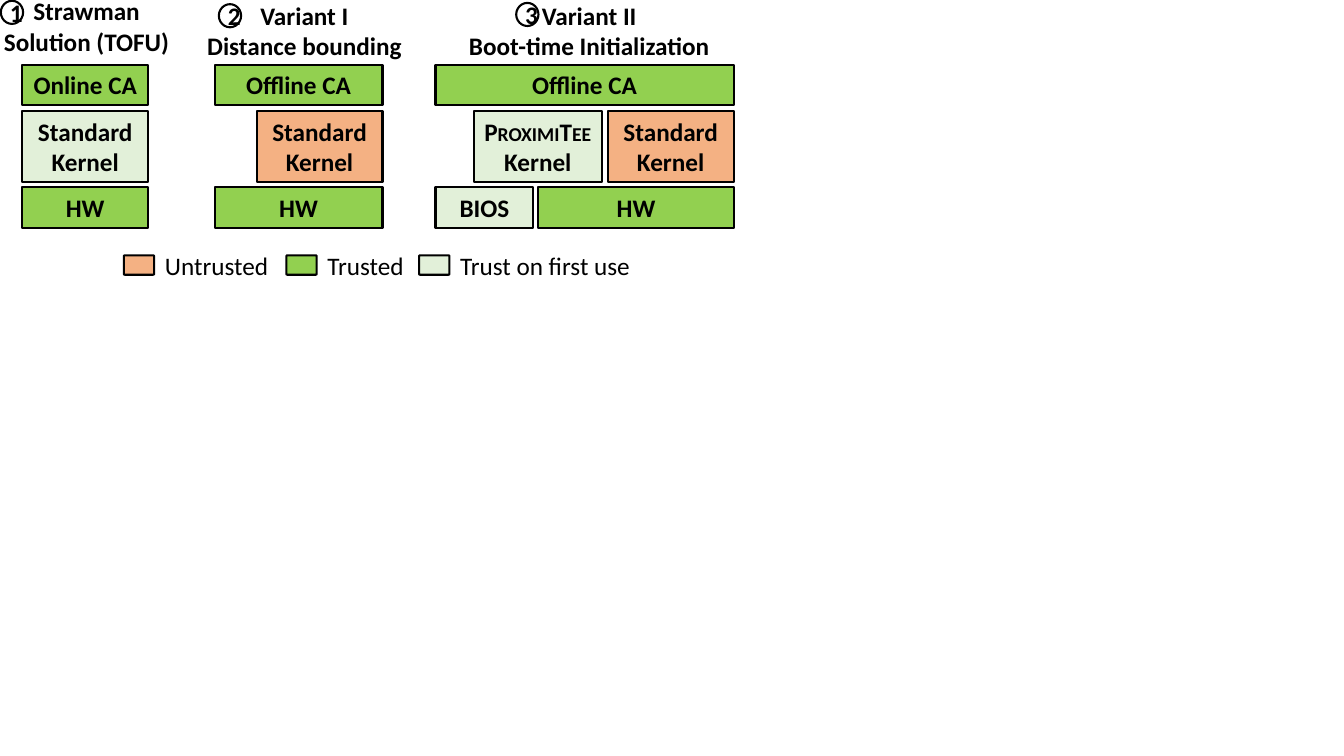
from dataclasses import dataclass

from pptx import Presentation
from pptx.dml.color import RGBColor
from pptx.enum.shapes import MSO_SHAPE
from pptx.enum.text import MSO_ANCHOR, MSO_AUTO_SIZE, PP_ALIGN
from pptx.shapes.base import BaseShape
from pptx.util import Inches, Pt

RECT, OVAL, ROUND = MSO_SHAPE.RECTANGLE, MSO_SHAPE.OVAL, MSO_SHAPE.ROUNDED_RECTANGLE
TOP, MIDDLE = MSO_ANCHOR.TOP, MSO_ANCHOR.MIDDLE
LEFT, CENTER = PP_ALIGN.LEFT, PP_ALIGN.CENTER
GROW, FIXED = MSO_AUTO_SIZE.SHAPE_TO_FIT_TEXT, MSO_AUTO_SIZE.NONE

# The slide is a grid of 320 columns by 180 rows
COLS, ROWS = 320, 180


@dataclass(frozen=True)
class Theme:
    font: str = "Calibri"
    size: int = 18
    small: int = 14
    line: float = 1.5
    ink: str = "000000"
    paper: str = "FFFFFF"
    safe: str = "92D050"
    first: str = "E2F0D9"
    risk: str = "F4B183"


@dataclass(frozen=True)
class Box:
    col: float
    row: float
    wide: float
    high: float


@dataclass(frozen=True)
class Band:
    row: float
    high: float


@dataclass(frozen=True)
class Block:
    text: str
    tone: str
    band: Band
    shift: float  # columns from the left edge of the stack
    wide: float


@dataclass(frozen=True)
class Stack:
    col: float
    title: str
    head: Box
    badge: tuple[float, float]
    blocks: list[Block]


@dataclass(frozen=True)
class Key:
    text: str
    tone: str
    col: float
    wide: float


THEME = Theme()
CA, KERNEL, BASE = Band(15.4, 9.7), Band(26.4, 17), Band(44.6, 9.7)

# A bar in a text switches between the normal and the small size
STACKS = [
    Stack(5.3, "Strawman\nSolution (TOFU)", Box(-1.7, -2.2, 44.6, 17), (0.2, 0.2), [
        Block("Online CA", THEME.safe, CA, 0, 30),
        Block("Standard Kernel", THEME.first, KERNEL, 0, 30),
        Block("HW", THEME.safe, BASE, 0, 30),
    ]),
    Stack(51.1, "Variant I\nDistance bounding", Box(46.8, -1.2, 51.4, 17), (52.1, 1), [
        Block("Offline CA", THEME.safe, CA, 0, 40),
        Block("Standard Kernel", THEME.risk, KERNEL, 10, 30),
        Block("HW", THEME.safe, BASE, 0, 40),
    ]),
    Stack(103.7, "Variant II\nBoot-time Initialization", Box(109, -1.2, 62.6, 17), (122.9, 0.7), [
        Block("Offline CA", THEME.safe, CA, 0, 71),
        Block("P|ROXIMI|T|EE| Kernel", THEME.first, KERNEL, 9.1, 30.5),
        Block("Standard Kernel", THEME.risk, KERNEL, 41, 30),
        Block("BIOS", THEME.first, BASE, 0, 23.3),
        Block("HW", THEME.safe, BASE, 24.5, 46.5),
    ]),
]

KEYS = [
    Key("Untrusted", THEME.risk, 29.5, 29.8),
    Key("Trusted", THEME.safe, 68.2, 23.3),
    Key("Trust on first use", THEME.first, 99.8, 45.6),
]

deck = Presentation()
deck.slide_width, deck.slide_height = Inches(13.33), Inches(7.5)
slide = deck.slides.add_slide(deck.slide_layouts[6])


def place(box: Box) -> tuple[int, int, int, int]:
    col, row = deck.slide_width / COLS, deck.slide_height / ROWS
    return (round(box.col * col), round(box.row * row),
            round(box.wide * col), round(box.high * row))


def write(shape: BaseShape, text: str, bold: bool = True, align: PP_ALIGN = CENTER,
          wrap: bool = True, anchor: MSO_ANCHOR = TOP, fit: MSO_AUTO_SIZE = GROW) -> None:
    frame = shape.text_frame
    frame.word_wrap, frame.vertical_anchor, frame.auto_size = wrap, anchor, fit
    for i, line in enumerate(text.split("\n")):
        para = frame.add_paragraph() if i else frame.paragraphs[0]
        para.alignment = align
        for j, part in enumerate(line.split("|")):
            run = para.add_run()
            run.text = part
            font = run.font
            font.name, font.bold = THEME.font, bold
            font.size = Pt(THEME.small if j % 2 else THEME.size)
            font.color.rgb = RGBColor.from_string(THEME.ink)


def draw(kind: MSO_SHAPE, box: Box, tone: str) -> BaseShape:
    shape = slide.shapes.add_shape(kind, *place(box))
    shape.shadow.inherit = False
    shape.fill.solid()
    shape.fill.fore_color.rgb = RGBColor.from_string(tone)
    shape.line.color.rgb = RGBColor.from_string(THEME.ink)
    shape.line.width = Pt(THEME.line)
    return shape


def label(box: Box, text: str, bold: bool, align: PP_ALIGN) -> None:
    write(slide.shapes.add_textbox(*place(box)), text, bold, align, wrap=False)


# Three stacks with numbered headings
for num, stack in enumerate(STACKS, 1):
    for block in stack.blocks:
        box = Box(stack.col + block.shift, block.band.row, block.wide, block.band.high)
        write(draw(RECT, box, block.tone), block.text)
    badge = draw(OVAL, Box(*stack.badge, 5.3, 5.5), THEME.paper)
    write(badge, str(num), anchor=MIDDLE, fit=FIXED)
    label(stack.head, stack.title, True, CENTER)

# Legend
for key in KEYS:
    swatch = draw(ROUND, Box(key.col, 60.8, 7.2, 4.6), key.tone)
    swatch.adjustments[0] = 0.045
    label(Box(key.col + 7.4, 58.3, key.wide, 9.7), key.text, False, LEFT)

deck.save("out.pptx")
